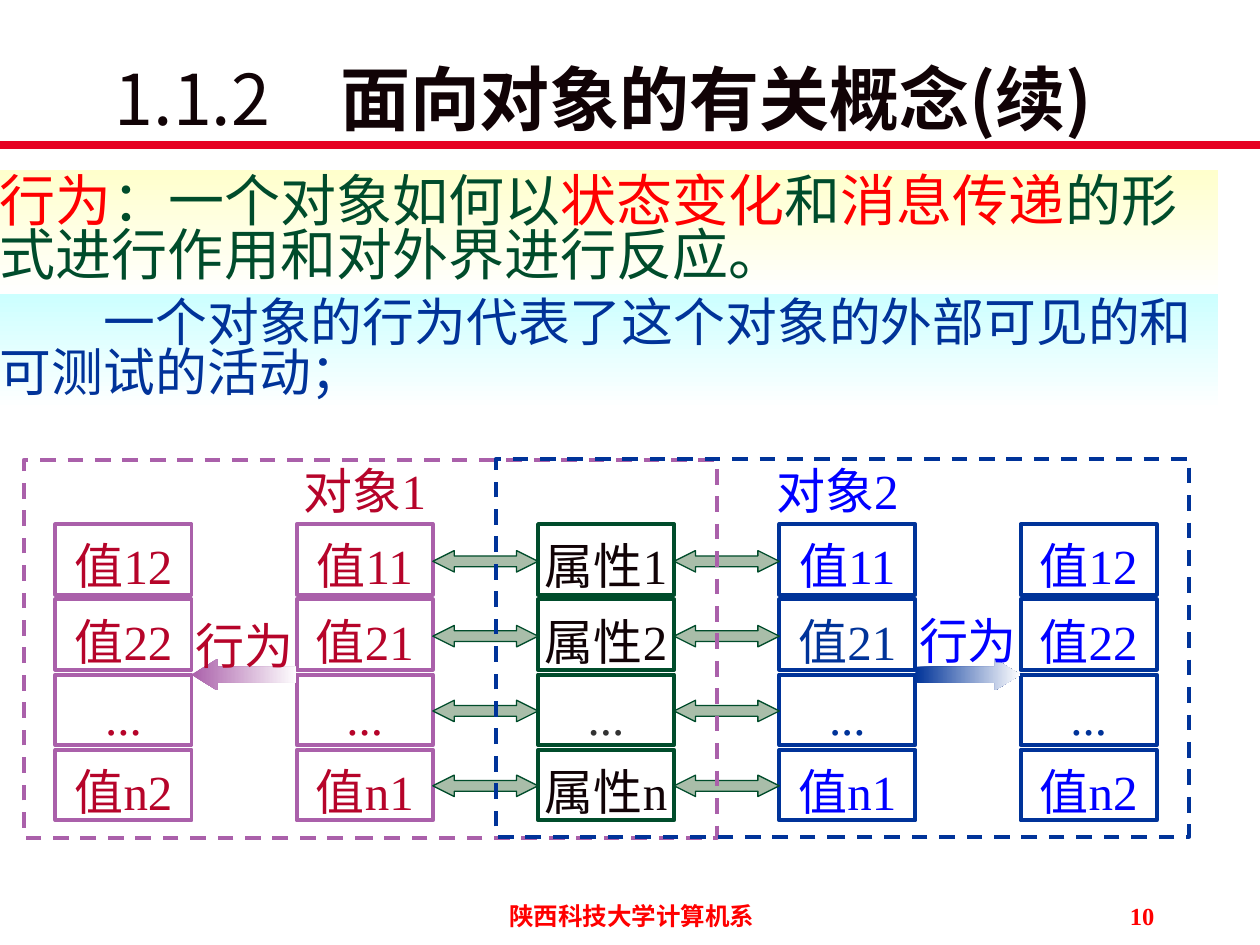
from lxml.etree import SubElement
from pptx import Presentation
from pptx.dml.color import RGBColor
from pptx.enum.dml import MSO_LINE_DASH_STYLE as DASH
from pptx.enum.shapes import MSO_CONNECTOR, MSO_SHAPE as SHAPE
from pptx.enum.text import MSO_ANCHOR as ANCHOR, PP_ALIGN as ALIGN
from pptx.oxml.ns import qn
from pptx.util import Inches, Pt

C = dict(red="FF0000", rule="E60223", ink="110306", green="004C2B", sage="A9BDA9",
         navy="003399", blue="0000FF", purple="AA60AA", crimson="B6042A",
         gray="333333", cream="FFFFCC", cyan="CCFFFF", white="FFFFFF")
SERIF, SANS = "Times New Roman", "Noto Sans CJK SC"

TITLE = [("1.1.2　", "ink", False), ("面向对象的有关概念(续)", "ink", True)]
BANDS = [
    (1.35, 0.99, "cream", 32, [
        ("行为", "red"), ("：一个对象如何以", "green"), ("状态变化", "red"), ("和", "green"),
        ("消息传递", "red"), ("的形式进行作用和对外界进行反应。", "green")]),
    (2.33, 0.92, "cyan", 29.6, [
        ("　　一个对象的行为代表了这个对象的外部可见的和可测试的活动；", "navy")]),
]
FOOTER = [("陕西科技大学计算机系", 3.43, 3.17, ALIGN.CENTER), ("10", 7.18, 2.08, ALIGN.RIGHT)]
COLUMNS = [
    ("purple", [("值12", "crimson"), ("值22", "crimson"), ("...", "crimson"), ("值n2", "crimson")]),
    ("purple", [("值11", "crimson"), ("值21", "crimson"), ("...", "crimson"), ("值n1", "crimson")]),
    ("green", [("属性1", "ink"), ("属性2", "ink"), ("...", "gray"), ("属性n", "ink")]),
    ("navy", [("值11", "blue"), ("值21", "navy"), ("...", "navy"), ("值n1", "blue")]),
    ("navy", [("值12", "blue"), ("值22", "blue"), ("...", "navy"), ("值n2", "blue")]),
]
OBJECTS = [
    dict(name="对象1", frame=(0.19, 3.65), line="purple", text="crimson", name_x=2.02,
         gap=0, arrow=SHAPE.LEFT_ARROW, label_y=4.74),
    dict(name="对象2", frame=(3.94, 3.64), line="navy", text="blue", name_x=5.77,
         gap=3, arrow=SHAPE.RIGHT_ARROW, label_y=4.7),
]

LEFT, TOP, CELL_W, CELL_H = 0.44, 4.16, 1.08, 0.56
COL_STEP, ROW_STEP = 1.915, 0.597
GAP_W = COL_STEP - CELL_W
LINK_TOP, LINK_STEP, LINK_H = 4.37, 0.594, 0.17
BAND_P = dict(line_spacing=0.8, space_before=Pt(8))
LABEL_P = dict(alignment=ALIGN.CENTER, line_spacing=1.2, space_before=Pt(17.5))

prs = Presentation()
prs.slide_width, prs.slide_height = Inches(10), Inches(7.5)
slide = prs.slides.add_slide(prs.slide_layouts[6])


def rgb(name):
    return RGBColor.from_string(C[name])


def apply(obj, fmt):
    for key, value in fmt.items():
        setattr(obj, key, value)


def write(sp, runs, size, p_fmt, pad=(0, 0), anchor=ANCHOR.MIDDLE, font=SERIF):
    tf = sp.text_frame
    x, y = (Inches(v) for v in pad)
    apply(tf, dict(margin_left=x, margin_right=x, margin_top=y, margin_bottom=y,
                   word_wrap=True, vertical_anchor=anchor))
    p = tf.paragraphs[0]
    apply(p, {"alignment": ALIGN.LEFT, **p_fmt})
    for text, color, *bold in runs:
        r = p.add_run()
        r.text = text
        apply(r.font, dict(size=Pt(size), name=font, bold=any(bold)))
        r.font.color.rgb = rgb(color)
        SubElement(r.font._element, qn("a:ea")).set("typeface", SANS)


def textbox(box, *args, **kw):
    write(slide.shapes.add_textbox(*map(Inches, box)), *args, **kw)


def shape(kind, box, fill=None, fade=None, line=None, width=2.25, dash=None, adj=()):
    sp = slide.shapes.add_shape(kind, *map(Inches, box))
    sp.shadow.inherit = False
    for i, value in enumerate(adj):
        sp.adjustments[i] = value
    if fade is not None:
        sp.fill.gradient()
        sp.fill.gradient_angle = fade
        for stop, color, pos in zip(sp.fill.gradient_stops, (fill, "white"), (0, 1)):
            stop.color.rgb, stop.position = rgb(color), pos
    elif fill:
        sp.fill.solid()
        sp.fill.fore_color.rgb = rgb(fill)
    else:
        sp.fill.background()
    if line:
        sp.line.color.rgb = rgb(line)
        apply(sp.line, dict(width=Pt(width), dash_style=dash))
    else:
        sp.line.fill.background()
    return sp


def gap_x(col):
    return LEFT + col * COL_STEP + CELL_W


rule = slide.shapes.add_connector(MSO_CONNECTOR.STRAIGHT, 0, Inches(1.15),
                                  prs.slide_width, Inches(1.15))
rule.line.color.rgb = rgb("rule")
rule.line.width = Pt(4.75)
SubElement(rule._element.spPr, qn("a:effectLst"))

for text, x, w, align in FOOTER:
    textbox((x, 7.1, w, 0.4), [(text, "red", True)], 14,
            dict(alignment=align, space_before=Pt(8.8)), pad=(0.1, 0.05), anchor=ANCHOR.TOP)

textbox((0, 0.52, 9.58, 0.5), TITLE, 40, dict(alignment=ALIGN.CENTER), pad=(0, 0.05), font=SANS)

for y, h, color, size, runs in BANDS:
    write(shape(SHAPE.RECTANGLE, (0, y, 9.67, h), fill=color, fade=270),
          runs, size, BAND_P, pad=(0, 0.05))

for col, (color, cells) in enumerate(COLUMNS):
    for row, cell in enumerate(cells):
        box = (LEFT + col * COL_STEP, TOP + row * ROW_STEP, CELL_W, CELL_H)
        write(shape(SHAPE.RECTANGLE, box, line=color), [cell], 28, LABEL_P)

for col in (1, 2):
    for row in range(4):
        shape(SHAPE.LEFT_RIGHT_ARROW, (gap_x(col), LINK_TOP + row * LINK_STEP, GAP_W, LINK_H),
              fill="sage", line="green", width=0.75, adj=(0.5, 1))

for o in OBJECTS:
    x = gap_x(o["gap"])
    shape(SHAPE.RECTANGLE, (*o["frame"], 5.5, 3), line=o["line"], dash=DASH.DASH)
    shape(o["arrow"], (x, 5.23, GAP_W, 0.25), fill=o["line"], fade=0, adj=(0.5, 0.82))
    for text, box in ((o["name"], (o["name_x"], 3.51, 1.75, 0.66)),
                      ("行为", (x + GAP_W / 2 - 0.75, o["label_y"], 1.5, 0.66))):
        textbox(box, [(text, o["text"])], 28, LABEL_P, pad=(0.1, 0.05), anchor=ANCHOR.TOP)

prs.save("out.pptx")
